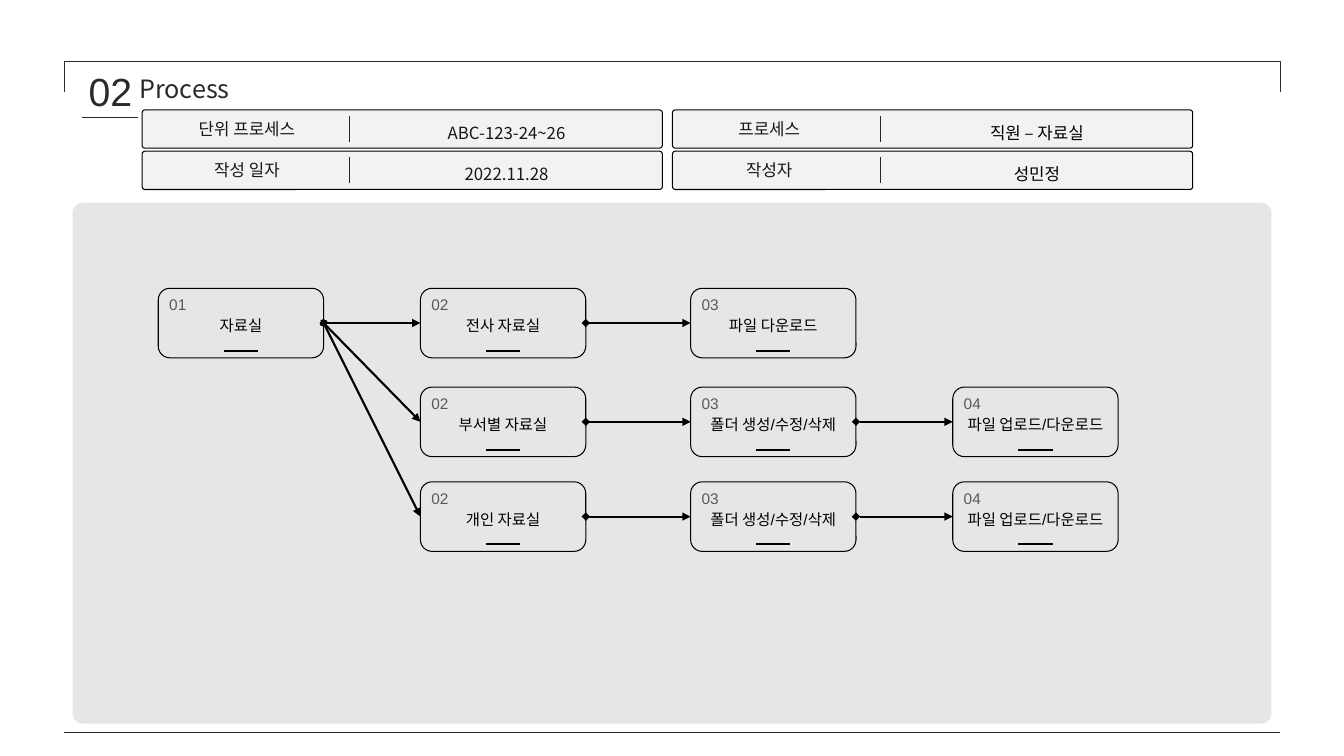
from lxml.etree import SubElement
from pptx import Presentation
from pptx.dml.color import RGBColor
from pptx.enum.shapes import MSO_CONNECTOR, MSO_SHAPE
from pptx.enum.text import MSO_ANCHOR, MSO_AUTO_SIZE, PP_ALIGN
from pptx.oxml.ns import qn
from pptx.util import Inches, Pt

BLACK = RGBColor(0x00, 0x00, 0x00)
INK = RGBColor(0x18, 0x17, 0x17)
DIVIDER = RGBColor(0x24, 0x24, 0x24)
FRAME = RGBColor(0x2A, 0x2A, 0x2A)
STEP_GRAY = RGBColor(0x59, 0x59, 0x59)
CARD = RGBColor(0xF2, 0xF2, 0xF2)
PANEL = RGBColor(0xE7, 0xE6, 0xE6)
LATIN = "Arial"
KOREAN = "Noto Sans CJK KR"
DEFAULT_INSETS = (0.1, 0.05, 0.1, 0.05)

NODE_WIDTH, NODE_HEIGHT = 1.64, 0.69
COLUMNS = (1.57, 4.17, 6.85, 9.45)
# Top of each row, then the captions from the second column onwards
BRANCHES = (
    (2.86, ("전사 자료실", "파일 다운로드")),
    (3.84, ("부서별 자료실", "폴더 생성/수정/삭제", "파일 업로드/다운로드")),
    (4.78, ("개인 자료실", "폴더 생성/수정/삭제", "파일 업로드/다운로드")),
)
# Left edge, offset of the label centre, value colour, (label, value) rows
INFO_COLUMNS = (
    (1.41, 1.04, INK, (("단위 프로세스", "ABC-123-24~26"), ("작성 일자", "2022.11.28"))),
    (6.67, 0.96, BLACK, (("프로세스", "직원 – 자료실"), ("작성자", "성민정"))),
)


class ProcessSlide:
    def __init__(self, presentation):
        self.slide = presentation.slides.add_slide(presentation.slide_layouts[5])
        self.shapes = self.slide.shapes

    def format_text(self, shape, text, size, color, font=LATIN, align=PP_ALIGN.LEFT,
                    insets=DEFAULT_INSETS, spacing=1.0, anchor=MSO_ANCHOR.TOP):
        frame = shape.text_frame
        frame.text = text
        frame.word_wrap = True
        frame.auto_size = MSO_AUTO_SIZE.SHAPE_TO_FIT_TEXT
        frame.vertical_anchor = anchor
        (frame.margin_left, frame.margin_top,
         frame.margin_right, frame.margin_bottom) = map(Inches, insets)
        paragraph = frame.paragraphs[0]
        paragraph.alignment = align
        paragraph.line_spacing = spacing
        run = paragraph.runs[0]
        run.font.size = Pt(size)
        run.font.name = font
        run.font.color.rgb = color
        if font == KOREAN:
            SubElement(run.font._element, qn("a:ea"), typeface=font)

    def title(self, text, left, top, width, height):
        title = self.shapes.title
        title.left, title.top = Inches(left), Inches(top)
        title.width, title.height = Inches(width), Inches(height)
        self.format_text(title, text, 18, FRAME, KOREAN,
                         insets=(0.04, 0.02, 0.12, 0.02), anchor=MSO_ANCHOR.MIDDLE)

    def text(self, text, left, top, width, height, size, color, **style):
        box = self.shapes.add_textbox(Inches(left), Inches(top), Inches(width), Inches(height))
        self.format_text(box, text, size, color, **style)

    def box(self, left, top, width, height, fill=None, line=None, corner=0.1667,
            kind=MSO_SHAPE.ROUNDED_RECTANGLE):
        shape = self.shapes.add_shape(kind, Inches(left), Inches(top),
                                      Inches(width), Inches(height))
        shape.shadow.inherit = False
        shape.adjustments[0] = corner
        if fill is None:
            shape.fill.background()
        else:
            shape.fill.solid()
            shape.fill.fore_color.rgb = fill
        if line is None:
            shape.line.fill.background()
        else:
            shape.line.color.rgb = line
            shape.line.width = Pt(0.75)
        return shape

    def line(self, start, end, color, width=0.75):
        connector = self.shapes.add_connector(
            MSO_CONNECTOR.STRAIGHT, *map(Inches, start), *map(Inches, end))
        connector.line.color.rgb = color
        connector.line.width = Pt(width)
        SubElement(connector._element.spPr, qn("a:effectLst"))
        return connector

    def arrow(self, source, target):
        """Join the right side of one node to the left side of the next."""
        connector = self.line((0, 0), (1, 1), BLACK, 1.5)
        connector.begin_connect(source, 3)
        connector.end_connect(target, 1)
        line = connector.line._get_or_add_ln()
        SubElement(line, qn("a:headEnd"), type="diamond")
        SubElement(line, qn("a:tailEnd"), type="triangle")

    def info_card(self, left, top, label_center, label, value, value_color):
        self.box(left, top, 5.16, 0.38, CARD, BLACK, 0.075)
        self.text(label, left + label_center - 0.83, top + 0.01, 1.66, 0.33, 12, INK,
                  font=KOREAN, align=PP_ALIGN.CENTER, spacing=1.14)
        self.line((left + 2.06, top + 0.06), (left + 2.06, top + 0.32), DIVIDER)
        self.text(value, left + 2.2, top + 0.02, 2.83, 0.36, 12, value_color,
                  font=KOREAN, align=PP_ALIGN.CENTER, spacing=1.3)

    def node(self, column, top, caption):
        left = COLUMNS[column]
        shape = self.box(left, top, NODE_WIDTH, NODE_HEIGHT, line=BLACK)
        self.text(f"{column + 1:02}", left + 0.01, top + 0.02, 0.61, 0.29, 11, STEP_GRAY)
        self.line((left + 0.65, top + 0.62), (left + 0.99, top + 0.62), BLACK, 1.5)
        self.text(caption, left, top + 0.23, NODE_WIDTH, 0.29, 11, BLACK,
                  align=PP_ALIGN.CENTER)
        return shape


def main():
    presentation = Presentation()
    presentation.slide_width, presentation.slide_height = Inches(13.33), Inches(7.5)
    page = ProcessSlide(presentation)

    page.box(0.72, 2.01, 11.89, 5.17, PANEL, corner=0.02)
    bracket = page.box(6.52, -5.27, 0.3, 12.06, line=FRAME, corner=0,
                       kind=MSO_SHAPE.RIGHT_BRACKET)
    bracket.rotation = 270
    page.line((0.63, 7.27), (12.7, 7.27), FRAME)

    page.title("Process", 1.34, 0.71, 1.26, 0.34)
    page.text("02", 0.88, 0.67, 0.49, 0.79, 28, FRAME, insets=(0, 0, 0, 0))
    page.line((0.81, 1.17), (1.37, 1.17), FRAME)

    for left, label_center, value_color, rows in INFO_COLUMNS:
        for row, (label, value) in enumerate(rows):
            page.info_card(left, 1.09 + 0.41 * row, label_center, label, value, value_color)

    archive = page.node(0, BRANCHES[0][0], "자료실")
    for top, captions in BRANCHES:
        previous = archive
        for column, caption in enumerate(captions, start=1):
            current = page.node(column, top, caption)
            page.arrow(previous, current)
            previous = current

    presentation.save("out.pptx")


if __name__ == "__main__":
    main()
